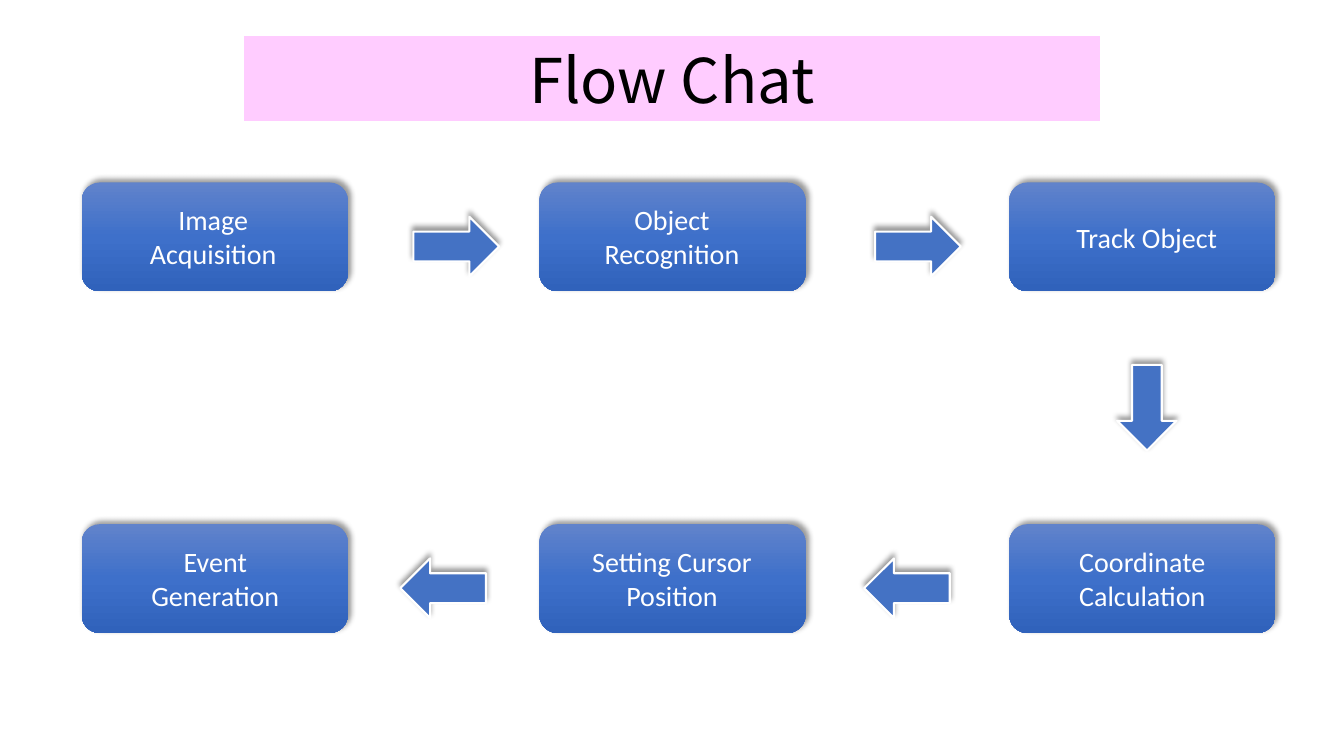
from pptx import Presentation
from pptx import util as u
from pptx.dml.color import RGBColor
from pptx.enum import shapes, text
from pptx.oxml import parse_xml
from pptx.oxml.ns import nsdecls, qn

# Content: step = (column, row, label lines, label left, label width)
TITLE = "Flow Chat"
STEPS = [
    (0, 0, ["Image", "Acquisition"], 138, 147),
    (1, 0, ["Object", "Recognition"], 589, 155),
    (2, 0, ["Track Object"], 1057, 161),
    (2, 1, ["Coordinate", "Calculation"], 1060, 146),
    (1, 1, ["Setting Cursor", "Position"], 576, 181),
    (0, 1, ["Event", "Generation"], 139, 149),
]
# Arrow = (left, top, rotation)
ARROWS = [(410, 215, 0), (868, 215, 0), (1095, 375, 90),
          (857, 554, 180), (397, 554, 180)]

# Layout in px, 100 to the inch
PX = 9144
SLIDE = (1333, 750)
BANNER = (242, 36, 849, 84)
COLS, ROWS = (81, 535, 1001), (181, 520)
BOX = (264, 108)
ARROW = (85, 59)
LABEL, LEAD = 11, 33  # label height: base plus one lead per line


class Theme:
    title_font, font = "Noto Sans CJK SC", "Calibri"
    title_size, size = 44, 20
    banner, ink, white = "FFCCFF", "000000", "FFFFFF"
    arrow = "4472C4"
    grade = [(0, "6183CB"), (50, "3E70CA"), (100, "3062BB")]
    edge = 1.5


def rgb(code):
    return RGBColor.from_string(code)


def emu(*lens):
    return [u.Emu(n * PX) for n in lens]


def add_shape(slide, kind, *rect):
    shape = slide.shapes.add_shape(kind, *emu(*rect))
    shape.shadow.inherit = False
    shape.line.fill.background()
    return shape


def write(frame, lines, font, size, color):
    frame.vertical_anchor = text.MSO_ANCHOR.MIDDLE
    for i, line in enumerate(lines):
        para = frame.paragraphs[0] if i == 0 else frame.add_paragraph()
        para.text = line
        para.alignment = text.PP_ALIGN.CENTER
        para.font.name, para.font.size = font, u.Pt(size)
        para.font.color.rgb = rgb(color)


def paint(shape, color):
    shape.fill.solid()
    shape.fill.fore_color.rgb = rgb(color)


def grade(shape, stops):
    shape.fill.gradient()
    shape.fill.gradient_angle = 270
    marks = "".join(
        f'<a:gs pos="{pos * 1000}"><a:srgbClr val="{color}"/></a:gs>'
        for pos, color in stops)
    old = shape.element.spPr.find(qn("a:gradFill")).find(qn("a:gsLst"))
    old.getparent().replace(
        old, parse_xml(f'<a:gsLst {nsdecls("a")}>{marks}</a:gsLst>'))


def shade(shape, angle):
    shape.element.spPr.find(qn("a:effectLst")).append(parse_xml(
        f'<a:outerShdw {nsdecls("a")} blurRad="{u.Pt(4)}" dist="{u.Pt(3)}" '
        f'dir="{angle * 60000}" rotWithShape="0"><a:srgbClr val="{Theme.ink}">'
        '<a:alpha val="40000"/></a:srgbClr></a:outerShdw>'))


def add_step(slide, col, row, lines, left, width):
    kind = shapes.MSO_SHAPE.ROUNDED_RECTANGLE
    box = add_shape(slide, kind, COLS[col], ROWS[row], *BOX)
    grade(box, Theme.grade)
    shade(box, 315)
    # Label, centred on the height of its box
    high = LABEL + LEAD * len(lines)
    top = ROWS[row] + (BOX[1] - high) // 2
    label = slide.shapes.add_textbox(*emu(left, top, width, high))
    label.text_frame.word_wrap = False
    write(label.text_frame, lines, Theme.font, Theme.size, Theme.white)


def add_arrow(slide, left, top, turn):
    arrow = add_shape(slide, shapes.MSO_SHAPE.RIGHT_ARROW, left, top, *ARROW)
    arrow.rotation = turn
    paint(arrow, Theme.arrow)
    arrow.line.color.rgb = rgb(Theme.white)
    arrow.line.width = u.Pt(Theme.edge)
    shade(arrow, 270)


def main():
    deck = Presentation()
    deck.slide_width, deck.slide_height = emu(*SLIDE)
    slide = deck.slides.add_slide(deck.slide_layouts[6])

    # Title banner
    banner = add_shape(slide, shapes.MSO_SHAPE.RECTANGLE, *BANNER)
    paint(banner, Theme.banner)
    write(banner.text_frame, [TITLE], Theme.title_font,
          Theme.title_size, Theme.ink)

    # Flow
    for step in STEPS:
        add_step(slide, *step)
    for arrow in ARROWS:
        add_arrow(slide, *arrow)

    deck.save("out.pptx")


if __name__ == "__main__":
    main()
